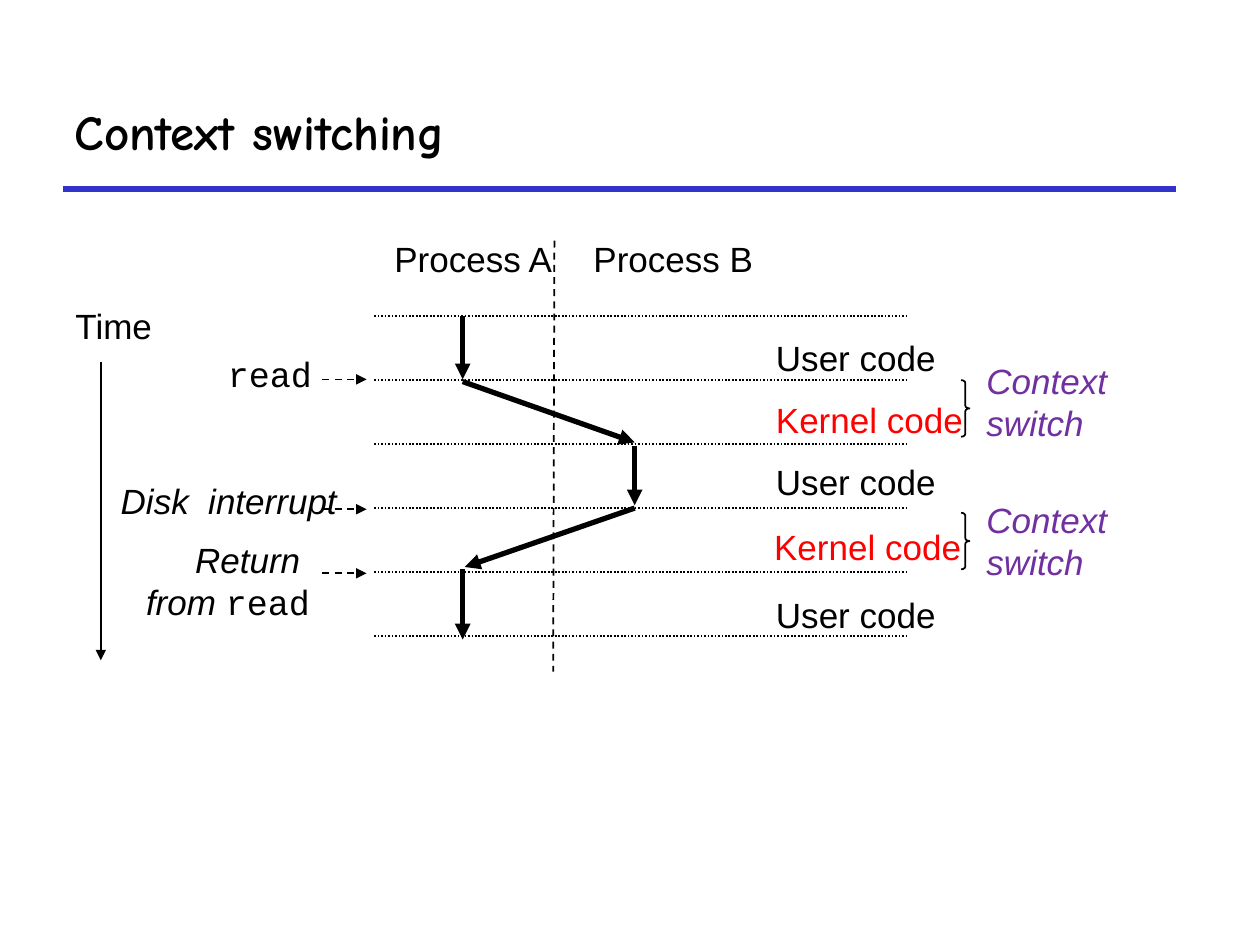
from dataclasses import dataclass

from lxml import etree
from pptx import Presentation
from pptx.dml.color import RGBColor
from pptx.enum import dml, shapes, text
from pptx.oxml.ns import qn
from pptx.util import Pt


@dataclass(frozen=True)
class Theme:
    black: str = "000000"
    red: str = "FF0000"
    purple: str = "7030A0"
    blue: str = "3333CC"
    sans: str = "Arial"
    mono: str = "Courier New"
    heading: str = "Comic Neue"
    title_size: int = 28
    body_size: int = 20
    thin: int = 1
    thick: int = 3


THEME = Theme()
DASH = dml.MSO_LINE.DASH
DOTS = dml.MSO_LINE.ROUND_DOT  # written as sysDot

# Content
TITLE = "Context switching"
PROCESSES = [("Process A", 218.2), ("Process B", 332)]
CODE_LABELS = [  # wording, colour, left, top
    ("User code", THEME.black, 436.3, 188.6),
    ("Kernel code", THEME.red, 436.3, 223.9),
    ("User code", THEME.black, 436.3, 259.5),
    ("Kernel code", THEME.red, 435.3, 296.6),
    ("User code", THEME.black, 436.3, 335.8),
]
SWITCHES = [(217.2, 201.6), (293.0, 281.2)]  # brace top, label top
EVENT_ARROWS = [216.8, 291, 327.6]

# Places
ROW_TOP, ROW_STEP, ROW_COUNT = 180.7, 36.55, 6
ROWS = [ROW_TOP + ROW_STEP * i for i in range(ROW_COUNT)]
ROW_LEFT, ROW_RIGHT = 213.9, 518.5
LANE_A, LANE_B = 264.4, 362.7
LINE_HEIGHT, INSET = 24, 3.6

FLOW = [  # the running process, step by step
    (LANE_A, ROWS[0], LANE_A, ROWS[1] - 0.5),
    (LANE_A, ROWS[1] + 0.8, LANE_B, ROWS[2] - 1),
    (LANE_B, ROWS[2] + 1, LANE_B, ROWS[3] - 1.6),
    (LANE_B, ROWS[3], LANE_A + 1.2, ROWS[4] - 2.9),
    (LANE_A, ROWS[4] - 1.5, LANE_A, ROWS[5] + 2),
]


def add_line(slide, ends, width=THEME.thin, color=THEME.black, dash=None, arrow=False):
    connector = slide.shapes.add_connector(
        shapes.MSO_CONNECTOR.STRAIGHT, *(Pt(value) for value in ends))
    connector.line.width = Pt(width)
    connector.line.color.rgb = RGBColor.from_string(color)
    if dash is not None:
        connector.line.dash_style = dash
    properties = connector._element.spPr
    if arrow:
        outline = properties.find(qn("a:ln"))
        etree.SubElement(outline, qn("a:tailEnd")).set("type", "triangle")
    etree.SubElement(properties, qn("a:effectLst"))


def add_run(paragraph, wording, color=THEME.black, font=THEME.sans,
            size=THEME.body_size, italic=False, bold=False):
    run = paragraph.add_run()
    run.text = wording
    run.font.name = font
    run.font.size = Pt(size)
    run.font.italic = italic
    run.font.bold = bold
    run.font.color.rgb = RGBColor.from_string(color)


def add_label(slide, left, top, width, lines, align=text.PP_ALIGN.LEFT):
    """Each line is a list of (wording, format) runs."""
    height = LINE_HEIGHT * len(lines) + 2 * INSET
    box = slide.shapes.add_textbox(Pt(left), Pt(top), Pt(width), Pt(height))
    frame = box.text_frame
    frame.word_wrap = False
    frame.auto_size = text.MSO_AUTO_SIZE.SHAPE_TO_FIT_TEXT
    for index, runs in enumerate(lines):
        paragraph = frame.add_paragraph() if index else frame.paragraphs[0]
        paragraph.alignment = align
        for wording, style in runs:
            add_run(paragraph, wording, **style)


def add_brace(slide, top):
    brace = slide.shapes.add_shape(
        shapes.MSO_SHAPE.RIGHT_BRACE, Pt(549.2), Pt(top), Pt(4.8), Pt(32.4))
    brace.adjustments[0] = 0.35
    brace.shadow.inherit = False
    brace.fill.background()
    brace.line.width = Pt(THEME.thin)
    brace.line.color.rgb = RGBColor.from_string(THEME.black)


def add_title(slide):
    title = slide.shapes.title
    title.left, title.top, title.width, title.height = Pt(35.5), Pt(48), Pt(477), Pt(54)
    frame = title.text_frame
    frame.auto_size = text.MSO_AUTO_SIZE.NONE
    frame.vertical_anchor = text.MSO_ANCHOR.MIDDLE
    frame.paragraphs[0].alignment = text.PP_ALIGN.LEFT
    add_run(frame.paragraphs[0], TITLE, font=THEME.heading,
            size=THEME.title_size, bold=True)


def main():
    presentation = Presentation()
    presentation.slide_width, presentation.slide_height = Pt(720), Pt(540)
    slide = presentation.slides.add_slide(presentation.slide_layouts[5])
    italic = {"italic": True}
    mono = {"font": THEME.mono}

    # Title and rule
    add_title(slide)
    add_line(slide, (36, 108, 672, 108), THEME.thick, THEME.blue)

    # Process headings and the divider between them
    for name, left in PROCESSES:
        add_label(slide, left, 132.1, 106, [[(name, {})]])
    add_line(slide, (316.8, 137.5, 316.1, 383.8), dash=DASH)

    # Code labels and row lines
    for wording, color, left, top in CODE_LABELS:
        width = 124 if color == THEME.red else 106
        add_label(slide, left, top, width, [[(wording, {"color": color})]])
    for row in ROWS:
        add_line(slide, (ROW_LEFT, row, ROW_RIGHT, row), dash=DOTS)

    # Context switches
    purple = {"italic": True, "color": THEME.purple}
    for brace_top, label_top in SWITCHES:
        add_brace(slide, brace_top)
        add_label(slide, 556.6, label_top, 88.6,
                  [[("Context", purple)], [("switch", purple)]])

    # Time axis
    add_label(slide, 36, 170.2, 59, [[("Time", {})]])
    add_line(slide, (57.6, 206.6, 57.6, 377.3), arrow=True)

    # Events
    add_label(slide, 123.1, 198, 62.6, [[("read", mono)]])
    add_label(slide, 61.9, 270.7, 141, [[("Disk  interrupt", italic)]])
    add_label(slide, 76.3, 304.1, 108,
              [[("Return ", italic)], [("from ", italic), ("read", mono)]],
              text.PP_ALIGN.RIGHT)
    for top in EVENT_ARROWS:
        add_line(slide, (184.3, top, 209.5, top), dash=DASH, arrow=True)

    # Flow of control
    for step in FLOW:
        add_line(slide, step, THEME.thick, arrow=True)

    presentation.save("out.pptx")


if __name__ == "__main__":
    main()
